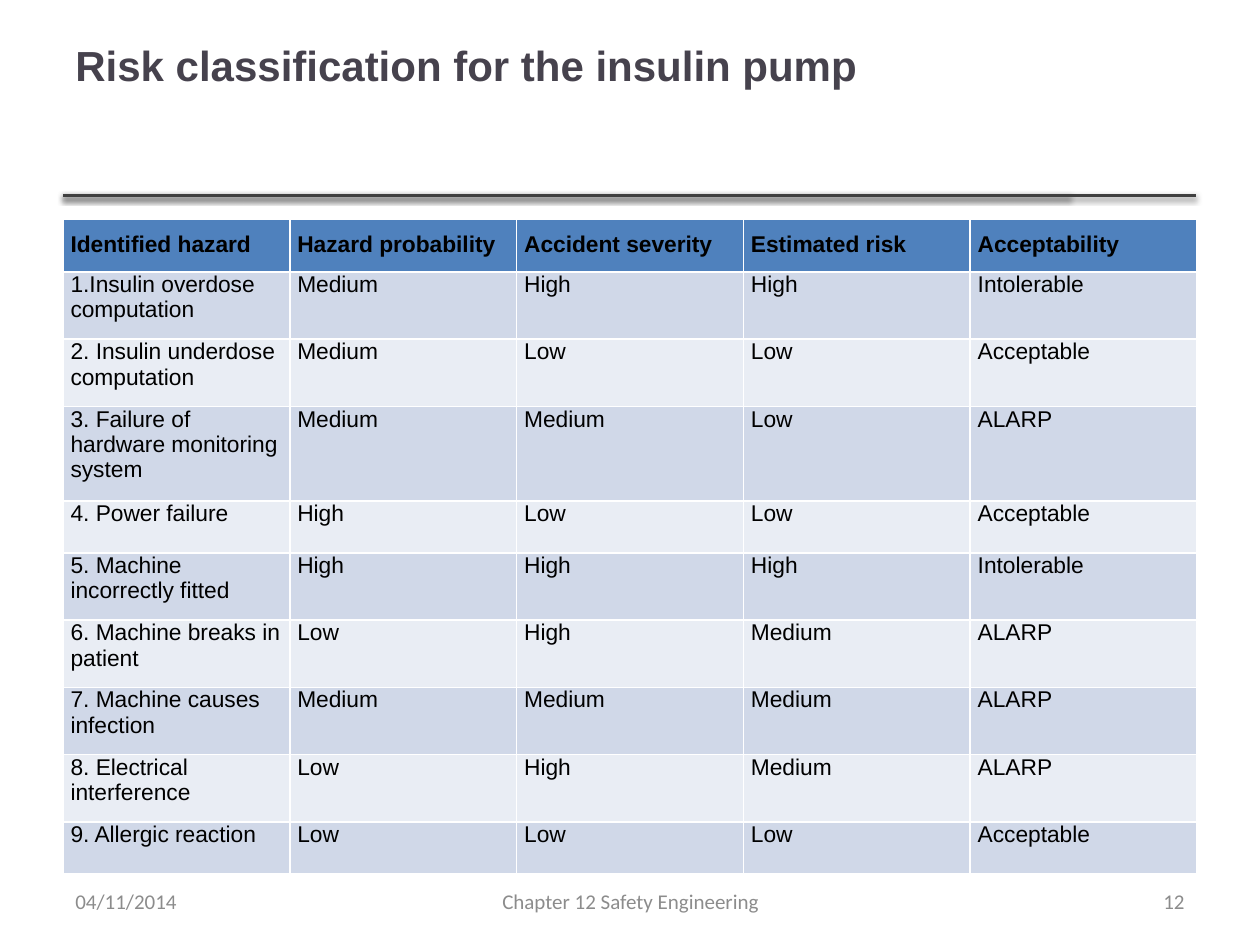
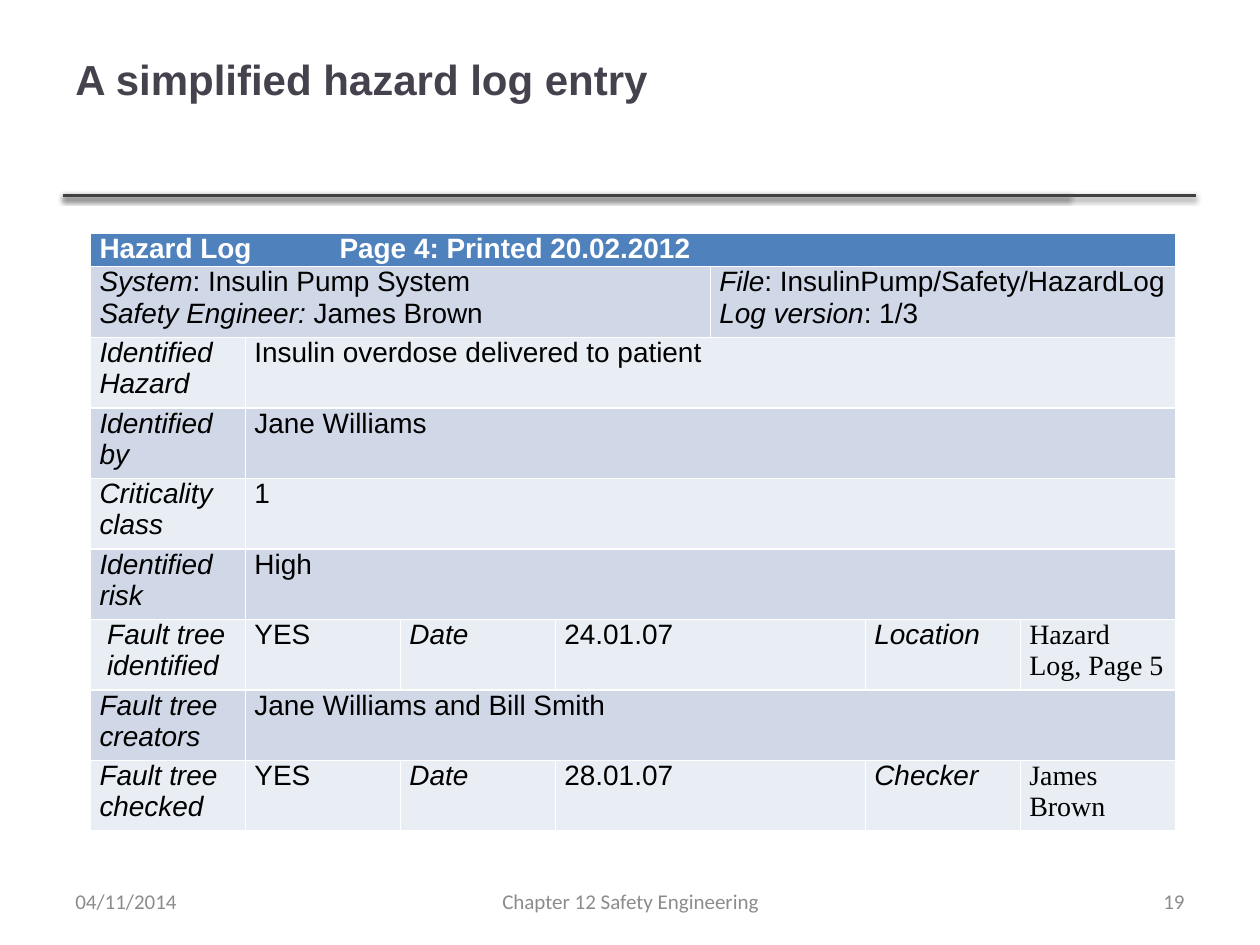
from lxml import etree
from pptx import Presentation
from pptx.dml.color import RGBColor
from pptx.enum.shapes import MSO_CONNECTOR
from pptx.enum.text import MSO_ANCHOR, PP_ALIGN
from pptx.oxml import parse_xml
from pptx.oxml.ns import nsdecls, qn
from pptx.util import Inches, Pt

LEFT, MID, RIGHT, JUST = PP_ALIGN.LEFT, PP_ALIGN.CENTER, PP_ALIGN.RIGHT, PP_ALIGN.JUSTIFY
STRAIGHT, CENTRE = MSO_CONNECTOR.STRAIGHT, MSO_ANCHOR.MIDDLE

# Content: risk table
RISK_TITLE = "Risk classification for the insulin pump"
RISKS = [
    ("Identified hazard", "Hazard probability", "Accident severity", "Estimated risk", "Acceptability"),
    ("1.Insulin overdose computation", "Medium", "High", "High", "Intolerable"),
    ("2. Insulin underdose computation", "Medium", "Low", "Low", "Acceptable"),
    ("3. Failure of hardware monitoring system", "Medium", "Medium", "Low", "ALARP"),
    ("4. Power failure", "High", "Low", "Low", "Acceptable"),
    ("5. Machine incorrectly fitted", "High", "High", "High", "Intolerable"),
    ("6. Machine breaks in patient", "Low", "High", "Medium", "ALARP"),
    ("7. Machine causes infection", "Medium", "Medium", "Medium", "ALARP"),
    ("8. Electrical interference", "Low", "High", "Medium", "ALARP"),
    ("9. Allergic reaction", "Low", "Low", "Low", "Acceptable"),
]

# Content: hazard log as (text, columns spanned); *stars* mark italics
LOG_TITLE = "A simplified hazard log entry"
LOG = [
    [("Hazard Log \tPage 4: Printed 20.02.2012", 7)],
    [("*System*: Insulin Pump System\n*Safety Engineer:* James Brown", 4),
     ("*File*: InsulinPump/Safety/HazardLog\n*Log version*: 1/3", 3)],
    [("*Identified Hazard*", 1), ("Insulin overdose delivered to patient", 6)],
    [("*Identified by*", 1), ("Jane Williams", 6)],
    [("*Criticality class*", 1), ("1", 6)],
    [("*Identified risk*", 1), ("High", 6)],
    [("* Fault tree identified*", 1), ("YES", 1), ("*Date*", 1), ("24.01.07", 2),
     ("*Location*", 1), ("Hazard Log, Page 5", 1)],
    [("*Fault tree creators*", 1), ("Jane Williams and Bill Smith", 6)],
    [("*Fault tree checked*", 1), ("YES", 1), ("*Date*", 1), ("28.01.07", 2),
     ("*Checker*", 1), ("James Brown", 1)],
]

# Shared style
HEX = {"title": "46424D", "rule": "404040", "foot": "8C8C8C", "head": "4F81BD",
       "odd": "D0D8E8", "even": "E9EDF4", "ink": "000000", "white": "FFFFFF"}
TITLE = {"size": Pt(24), "name": "Arial", "bold": True}
FOOT = {"size": Pt(12), "name": "Calibri"}
RISK = {"size": Pt(13), "name": "Arial"}
ENTRY = {"size": Pt(16), "name": "Arial"}
FOOT_TOP, FOOT_HIGH = 6.95, 0.4
RULE_Y, RULE_ENDS = 1.55, (8.49, 9.49)


def rgb(key):
    return RGBColor.from_string(HEX[key])


def put(item, form):
    for key, val in form.items():
        setattr(item, key, val)


def write(para, text, form, ink):
    """Add text to a paragraph, with *stars* as italics and \\n as a line break."""
    for i, part in enumerate(text.split("*")):
        for j, line in enumerate(part.split("\n")):
            if j:
                para.add_line_break()
            if line:
                run = para.add_run()
                run.text = line
                put(run.font, {**form, "italic": i % 2 == 1})
                run.font.color.rgb = rgb(ink)


def label(slide, box, text, form, ink, align=LEFT):
    frame = slide.shapes.add_textbox(*map(Inches, box)).text_frame
    put(frame, {"word_wrap": True, "vertical_anchor": CENTRE})
    para = frame.paragraphs[0]
    para.alignment = align
    write(para, text, form, ink)


def rule(slide, end):
    line = slide.shapes.add_connector(
        STRAIGHT, Inches(0.5), Inches(RULE_Y), Inches(end), Inches(RULE_Y))
    line.line.color.rgb = rgb("rule")
    line.line.width = Pt(2)
    line._element.spPr.append(parse_xml(
        f'<a:effectLst {nsdecls("a")}><a:outerShdw blurRad="{Pt(3.1)}" dist="{Pt(1.6)}" '
        f'dir="5400000" rotWithShape="0"><a:srgbClr val="{HEX["ink"]}">'
        '<a:alpha val="38000"/></a:srgbClr></a:outerShdw></a:effectLst>'))


def frame(deck, title, top, page):
    """Make a slide with the shared rules, title and footers."""
    slide = deck.slides.add_slide(deck.slide_layouts[6])
    for end in RULE_ENDS:
        rule(slide, end)
    label(slide, (0.5, top, 9, 1.25), title, TITLE, "title")
    for left, wide, text, align in [(7.17, 2.33, page, RIGHT),
                                    (3.42, 3.17, "Chapter 12 Safety Engineering", MID),
                                    (0.5, 2.33, "04/11/2014", LEFT)]:
        label(slide, (left, FOOT_TOP, wide, FOOT_HIGH), text, FOOT, "foot", align)
    return slide


def grid(slide, left, top, wide, cols, highs):
    """Add a table with white cell borders and banded rows."""
    table = slide.shapes.add_table(len(highs), cols, *map(
        Inches, (left, top, wide, sum(highs)))).table
    put(table, {"first_row": False, "horz_banding": False})
    for r, high in enumerate(highs):
        table.rows[r].height = Inches(high)
        band = "head" if r == 0 else "odd" if r % 2 else "even"
        for cell in table.rows[r].cells:
            props = cell._tc.get_or_add_tcPr()
            for side in "LRTB":
                props.append(parse_xml(
                    f'<a:ln{side} {nsdecls("a")} w="{Pt(1)}"><a:solidFill>'
                    f'<a:srgbClr val="{HEX["white"]}"/></a:solidFill></a:ln{side}>'))
            cell.fill.solid()
            cell.fill.fore_color.rgb = rgb(band)
    return table


def pad(cell, side, top, low):
    put(cell, {"margin_left": Inches(side), "margin_right": Inches(side),
               "margin_top": Inches(top), "margin_bottom": Inches(low)})


def risks(deck):
    slide = frame(deck, RISK_TITLE, -0.11, "12")
    table = grid(slide, 0.5, 1.74, 9, len(RISKS[0]), [0.41] * len(RISKS))
    for r, row in enumerate(RISKS):
        for c, text in enumerate(row):
            cell = table.cell(r, c)
            pad(cell, 0.06, 0 if r else 0.1, 0.1)
            para = cell.text_frame.paragraphs[0]
            para.alignment = LEFT if r and c == 0 else JUST
            write(para, text, {**RISK, "bold": r == 0}, "ink")


def log(deck):
    slide = frame(deck, LOG_TITLE, 0, "19")
    cols = 7
    table = grid(slide, 0.72, 1.85, 8.61, cols, [0.22] + [0.56] * (len(LOG) - 1))
    for r, row in enumerate(LOG):
        c = 0
        for text, span in row:
            cell = table.cell(r, c)
            if span > 1:
                cell.merge(table.cell(r, c + span - 1))
            pad(cell, 0.07, 0, 0)
            para = cell.text_frame.paragraphs[0]
            form = {**ENTRY, "bold": r == 0}
            if c == cols - 1:
                form["name"] = "Times New Roman"
            write(para, text, form, "ink" if r else "white")
            props = para._p.get_or_add_pPr()
            if r == 0:
                put(para, {"space_before": Pt(3), "space_after": Pt(3)})
                tabs = etree.SubElement(props, qn("a:tabLst"))
                etree.SubElement(tabs, qn("a:tab"), pos=str(Inches(4.69)), algn="r")
            if text.startswith("* "):
                props.set("marL", str(Inches(0.06)))
                props.set("indent", str(Inches(-0.06)))
            c += span


def main():
    deck = Presentation()
    put(deck, {"slide_width": Inches(10), "slide_height": Inches(7.5)})
    risks(deck)
    log(deck)
    deck.save("out.pptx")


if __name__ == "__main__":
    main()
